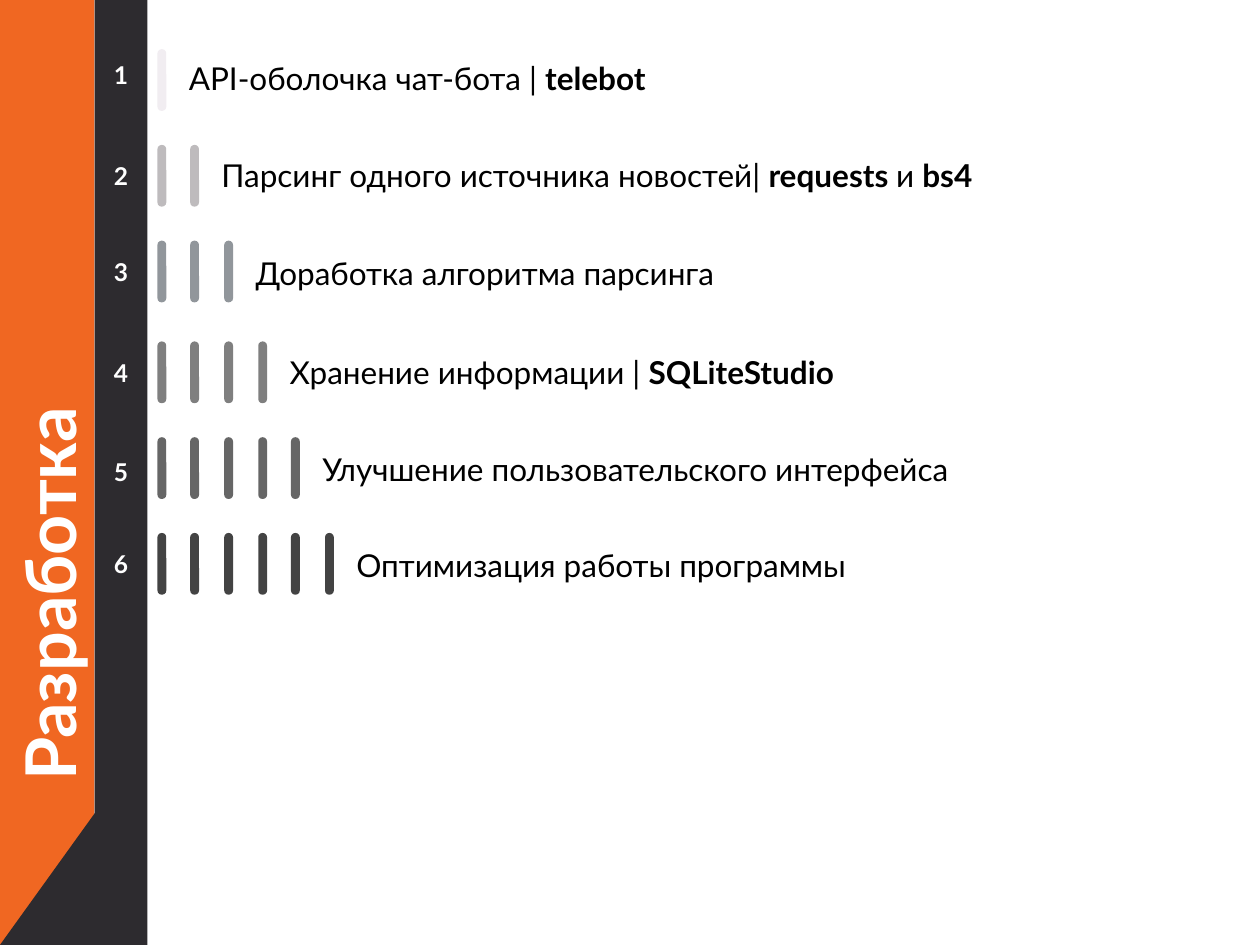
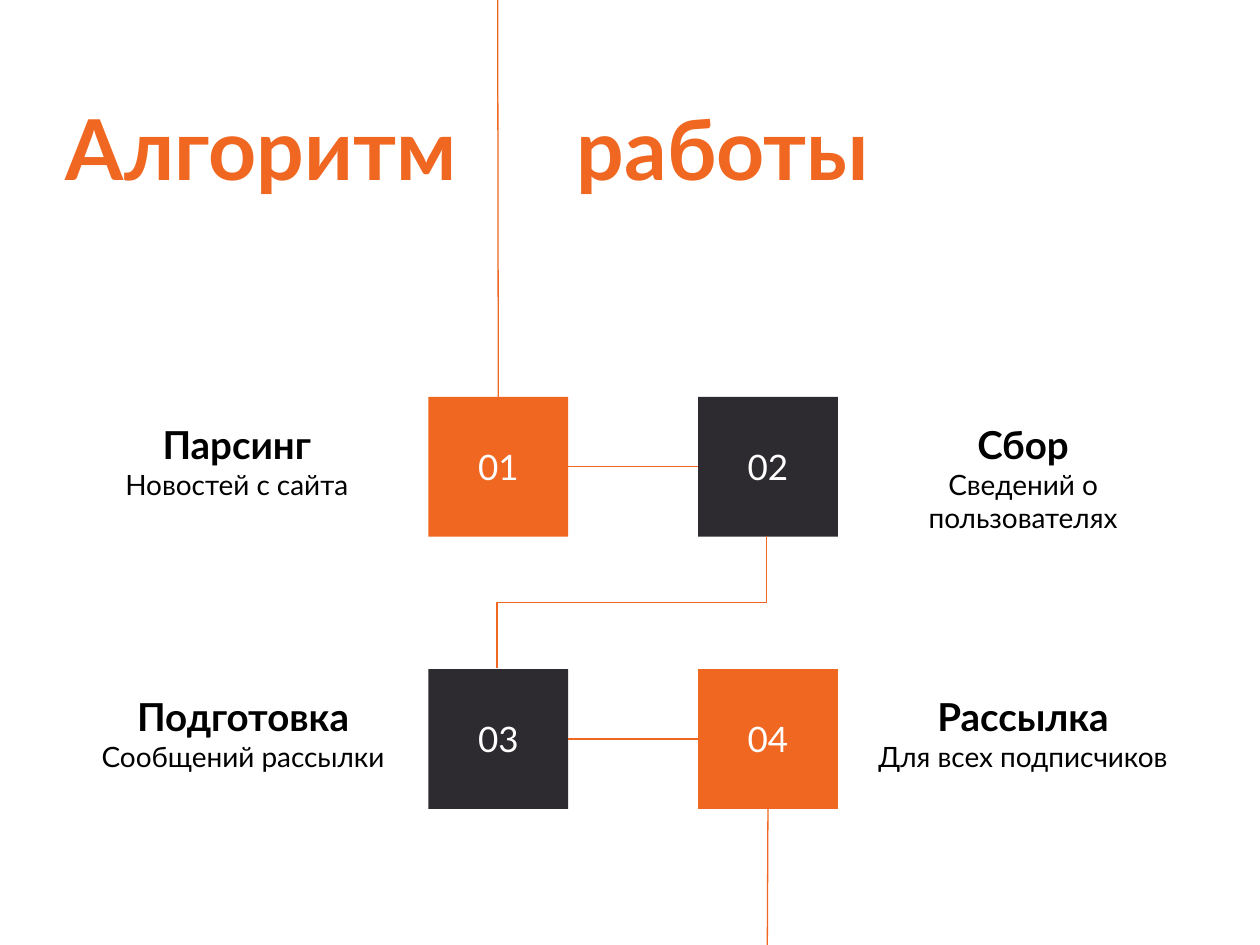
from dataclasses import dataclass

from lxml import etree
from pptx import Presentation
from pptx.dml.color import RGBColor
from pptx.enum.shapes import MSO_CONNECTOR, MSO_SHAPE
from pptx.enum.text import MSO_ANCHOR, PP_ALIGN
from pptx.oxml.ns import qn
from pptx.util import Emu, Pt

RECT = MSO_SHAPE.RECTANGLE
ROUNDED = MSO_SHAPE.ROUNDED_RECTANGLE
TRIANGLE = MSO_SHAPE.ISOSCELES_TRIANGLE
STRAIGHT = MSO_CONNECTOR.STRAIGHT
ELBOW = MSO_CONNECTOR.ELBOW
LEFT, CENTER = PP_ALIGN.LEFT, PP_ALIGN.CENTER
TOP, MIDDLE, BOTTOM = MSO_ANCHOR.TOP, MSO_ANCHOR.MIDDLE, MSO_ANCHOR.BOTTOM
SIDE_TOP, SIDE_LEFT, SIDE_BOTTOM, SIDE_RIGHT = range(4)

EMU_PER_PX = 9144  # 100 px to the inch
SLIDE_W, SLIDE_H = 1000, 750


def px(n):
    return Emu(n * EMU_PER_PX)


@dataclass(frozen=True)
class Theme:
    font: str = "Lato"
    accent: str = "F06722"
    dark: str = "2D2B2F"
    ink: str = "000000"
    white: str = "FFFFFF"
    bars: tuple = ("F1EDF1", "BEBBBD", "91969B", "7F7F7F", "666666", "434343")
    title: int = 48
    side_title: int = 40
    heading: int = 22
    box_number: int = 20
    item: int = 18
    body: int = 16
    row_number: int = 14
    line: float = 0.75
    inset: int = 10


class Deck:
    def __init__(self, theme):
        self.theme = theme
        self.prs = Presentation()
        self.prs.slide_width, self.prs.slide_height = px(SLIDE_W), px(SLIDE_H)
        self.slide = None

    def new_slide(self):
        self.slide = self.prs.slides.add_slide(self.prs.slide_layouts[6])

    def shape(self, kind, x, y, w, h, fill, adj=None):
        sp = self.slide.shapes.add_shape(kind, px(x), px(y), px(w), px(h))
        sp.shadow.inherit = False
        sp.fill.solid()
        sp.fill.fore_color.rgb = RGBColor.from_string(fill)
        sp.line.fill.background()
        if adj is not None:
            sp.adjustments[0] = adj
        return sp

    def text(self, parts, x, y, w, h, size, **style):
        sp = self.slide.shapes.add_textbox(px(x), px(y), px(w), px(h))
        self.fill_text(sp, parts, size, **style)
        return sp

    def fill_text(self, sp, parts, size, color=None, bold=False, align=LEFT,
                  anchor=TOP, inset_y=None, tab=None):
        """Fill sp with one paragraph; parts is a string or (text, bold) pairs."""
        if isinstance(parts, str):
            parts = [(parts, bold)]
        tf = sp.text_frame
        tf.word_wrap = True
        tf.vertical_anchor = anchor
        tf.margin_left = tf.margin_right = px(self.theme.inset)
        tf.margin_top = tf.margin_bottom = px(inset_y or self.theme.inset)
        p = tf.paragraphs[0]
        p.alignment = align
        if tab:
            stops = etree.SubElement(p._p.get_or_add_pPr(), qn("a:tabLst"))
            etree.SubElement(stops, qn("a:tab"), pos=str(px(tab)), algn="l")
        for text, is_bold in parts:
            r = p.add_run()
            r.text = text
            r.font.name = self.theme.font
            r.font.size = Pt(size)
            r.font.bold = is_bold
            r.font.color.rgb = RGBColor.from_string(color or self.theme.ink)

    def line(self, x1, y1, x2, y2, kind=STRAIGHT, begin=None, end=None):
        """Draw a connector; begin and end are (shape, side) pairs to join."""
        c = self.slide.shapes.add_connector(kind, px(x1), px(y1), px(x2), px(y2))
        c.line.color.rgb = RGBColor.from_string(self.theme.accent)
        c.line.width = Pt(self.theme.line)
        etree.SubElement(c._element.spPr, qn("a:effectLst"))
        if begin:
            c.begin_connect(*begin)
        if end:
            c.end_connect(*end)
        return c


def development_slide(deck):
    t = deck.theme
    band_x, band_w = 75, 42
    bar_x, bar_w, bar_h = 125, 7, 49
    # bar top, number top, text top, text parts
    rows = [
        (39, 31, 37, [("API-оболочка чат-бота | ", False), ("telebot", True)]),
        (115, 111, 114, [("Парсинг одного источника новостей| ", False),
                         ("requests ", True), ("и ", False), ("bs4", True)]),
        (191, 187, 192, "Доработка алгоритма парсинга"),
        (271, 267, 270, [("Хранение информации | ", False),
                         ("SQLiteStudio", True)]),
        (347, 346, 347, "Улучшение пользовательского интерфейса"),
        (423, 419, 423, "Оптимизация работы программы"),
    ]
    deck.new_slide()
    deck.shape(RECT, 0, 0, band_x, SLIDE_H, t.accent)
    deck.shape(RECT, band_x, 0, band_w, SLIDE_H, t.dark)
    deck.shape(TRIANGLE, 0, 643, 77, 107, t.dark, adj=1)
    title = deck.text("Разработка", -216, 336, 510, 77, t.side_title,
                      color=t.white, bold=True, inset_y=5)
    title.rotation = 270

    for i, (bar_y, number_y, text_y, parts) in enumerate(rows):
        for j in range(i + 1):
            x = bar_x + j * 80 // 3
            deck.shape(ROUNDED, x, bar_y, bar_w, bar_h, t.bars[i], adj=0.48)
        deck.text(str(i + 1), band_x, number_y, band_w, 57, t.row_number,
                  color=t.white, bold=True, align=CENTER, anchor=MIDDLE)
        text_x = x + 15
        deck.text(parts, text_x, text_y, SLIDE_W - text_x, 50, t.item)


def algorithm_slide(deck):
    t = deck.theme
    size = 111
    columns, tops = (340, 554), (315, 531)
    # column, row, fill, caption left, heading, body
    steps = [
        (0, 0, t.accent, 63, "Парсинг", "Новостей с сайта"),
        (1, 0, t.dark, 687, "Сбор", "Сведений о пользователях"),
        (0, 1, t.dark, 68, "Подготовка", "Сообщений рассылки"),
        (1, 1, t.accent, 687, "Рассылка", "Для всех подписчиков"),
    ]
    deck.new_slide()
    deck.text("Алгоритм\tработы", 42, 72, 674, 91, t.title, color=t.accent,
              bold=True, inset_y=5, tab=406)

    boxes = []
    for n, (col, row, fill, caption_x, heading, body) in enumerate(steps, 1):
        y = tops[row]
        box = deck.shape(RECT, columns[col], y, size, size, fill)
        deck.fill_text(box, f"{n:02}", t.box_number, color=t.white,
                       align=CENTER, anchor=MIDDLE)
        deck.text(heading, caption_x, y - 17, 250, 83, t.heading, bold=True,
                  align=CENTER, anchor=BOTTOM)
        deck.text(body, caption_x, y + 46, 250, 83, t.body, align=CENTER)
        boxes.append(box)

    left_mid, right_mid = (x + size // 2 for x in columns)
    for row, y in enumerate(tops):
        first, second = boxes[2 * row:2 * row + 2]
        mid = y + size // 2
        deck.line(columns[0] + size, mid, columns[1], mid,
                  begin=(first, SIDE_RIGHT), end=(second, SIDE_LEFT))
    deck.line(left_mid, tops[0], left_mid, 0, begin=(boxes[0], SIDE_TOP))
    deck.line(right_mid, SLIDE_H, right_mid, tops[1] + size,
              end=(boxes[3], SIDE_BOTTOM))

    # The elbow from 02 down to 03 is laid out sideways, then turned by 90°
    drop, reach = tops[1] - tops[0] - size, right_mid - left_mid
    x = (left_mid + right_mid - drop) // 2
    y = (tops[0] + size + tops[1] - reach) // 2
    elbow = deck.line(x, y, x + drop, y + reach, kind=ELBOW)
    elbow._element.spPr.find(qn("a:xfrm")).set("rot", str(90 * 60000))


def main():
    deck = Deck(Theme())
    development_slide(deck)
    algorithm_slide(deck)
    deck.prs.save("out.pptx")


if __name__ == "__main__":
    main()
